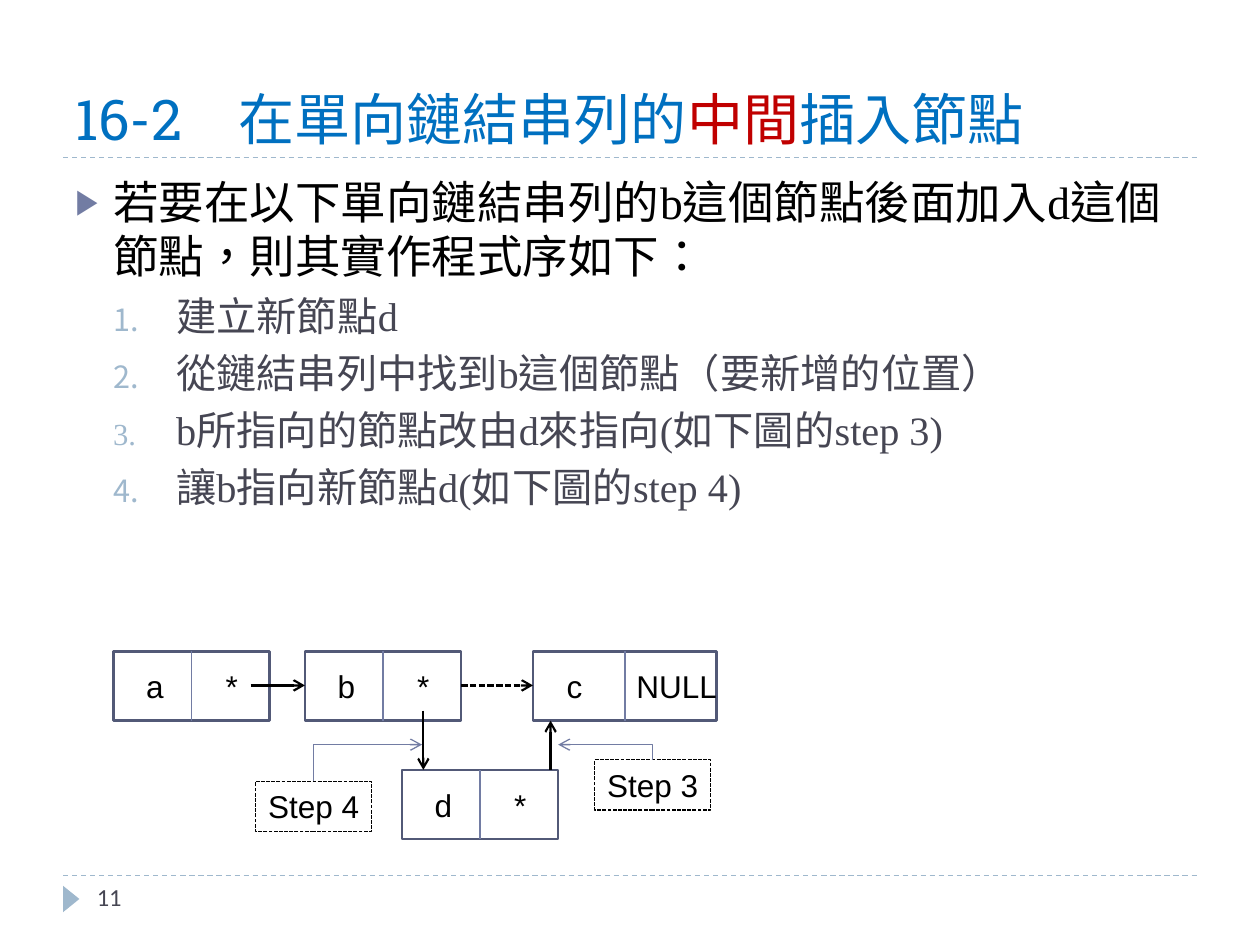
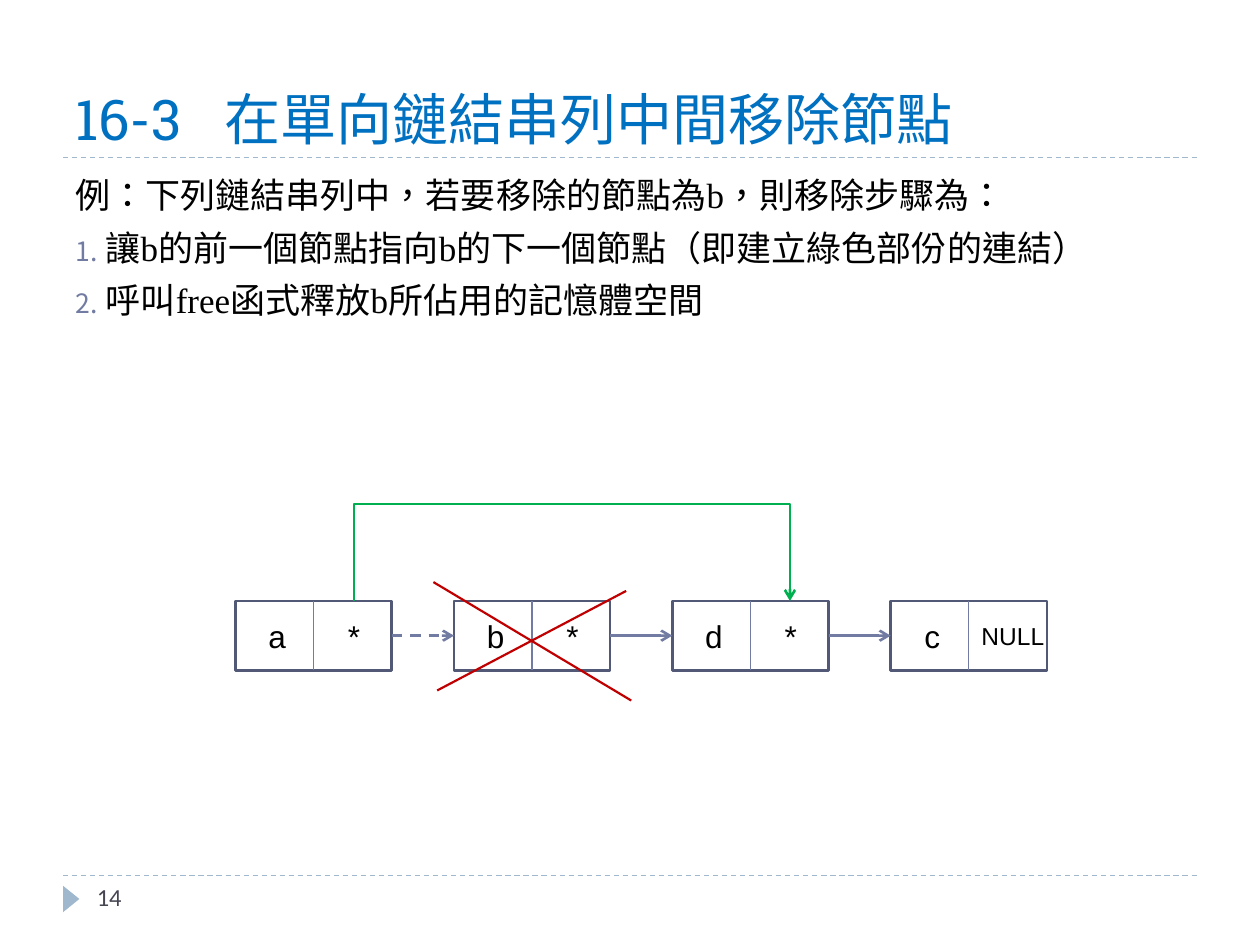
"""Builds two slides on inserting into and removing from a singly linked list."""
import dataclasses

import lxml.etree
import pptx
import pptx.dml.color
import pptx.enum.dml
import pptx.enum.shapes
import pptx.enum.text
import pptx.oxml.ns
import pptx.util

SHAPE = pptx.enum.shapes.MSO_SHAPE
ALIGN = pptx.enum.text.PP_ALIGN
ANCHOR = pptx.enum.text.MSO_ANCHOR
DASH = pptx.enum.dml.MSO_LINE.DASH
FINE_DASH = pptx.enum.dml.MSO_LINE.SQUARE_DOT
COLUMNS, ROWS = 100, 75
NODE_WIDTH, NODE_HEIGHT = 12.4, 5.5
LABEL_WIDTH = 14


@dataclasses.dataclass(frozen=True)
class Theme:
    """Colours, fonts and type sizes of the deck."""
    black: str = "000000"
    grey: str = "464653"
    blue: str = "0070C0"
    red: str = "C00000"
    green: str = "00B050"
    accent: str = "727CA3"
    frame: str = "525977"
    pale: str = "9FB8CD"
    title_font: str = "Roboto Slab"
    body_font: str = "Times New Roman"
    label_font: str = "Arial"
    number_font: str = "Calibri"
    title_size: int = 32
    lead_size: int = 26
    step_size: int = 23
    example_size: int = 20
    label_size: int = 18
    small_size: int = 14


@dataclasses.dataclass(frozen=True)
class Paragraph:
    """Paragraph style: type, spacing, indent in columns and bullet."""
    size: int
    color: str
    before: int = 6
    level: int = 0
    margin: float = 0
    hanging: float = 0
    bullet: str = ""
    bullet_color: str = ""


def add_xml(parent, tag, **attributes):
    """Append a DrawingML element."""
    return lxml.etree.SubElement(parent, pptx.oxml.ns.qn(tag), attributes)


class Deck:
    """Holds the theme and the current slide, and draws on a 100 by 75 grid."""

    def __init__(self, theme):
        self.theme = theme
        self.show = pptx.Presentation()
        self.show.slide_width = pptx.util.Inches(10)
        self.show.slide_height = pptx.util.Inches(7.5)
        self.slide = None

    def x(self, columns):
        """Convert columns to a length."""
        return round(self.show.slide_width * columns / COLUMNS)

    def y(self, rows):
        """Convert rows to a length."""
        return round(self.show.slide_height * rows / ROWS)

    def box(self, left, top, width, height):
        """Convert a grid box to lengths."""
        return self.x(left), self.y(top), self.x(width), self.y(height)

    def new_slide(self, number, title, tab=None):
        """Start a slide with its rules, page marker, number and title."""
        theme = self.theme
        self.slide = self.show.slides.add_slide(self.show.slide_layouts[6])
        for row in (69.5, 12.5):
            self.line((5, row), (95, row), theme.pale, 0.75, DASH)
        marker = self.shape(SHAPE.ISOSCELES_TRIANGLE, 4.6, 70.7, 2.1, 1.3, fill=theme.pale)
        marker.rotation = 90
        self.text(6.7, 69.5, 21.7, 4, [(number, theme.grey)],
                  theme.small_size, theme.number_font)
        heading = self.text(5, 1.7, 90, 10.8, title, theme.title_size,
                            theme.title_font, anchor=ANCHOR.BOTTOM)
        if tab:
            stops = add_xml(heading.paragraphs[0]._p.get_or_add_pPr(), "a:tabLst")
            add_xml(stops, "a:tab", pos=str(self.x(tab)), algn="l")

    def style(self, run, size, color, font):
        """Format a run."""
        run.font.size = pptx.util.Pt(size)
        run.font.name = font
        run.font.color.rgb = pptx.dml.color.RGBColor.from_string(color)
        run._r.get_or_add_rPr().set("lang", "zh-TW")

    def text(self, left, top, width, height, parts, size, font,
             anchor=ANCHOR.TOP, align=ALIGN.LEFT, wrap=True):
        """Add one line of text from (wording, colour) parts."""
        frame = self.slide.shapes.add_textbox(*self.box(left, top, width, height)).text_frame
        frame.word_wrap = wrap
        frame.vertical_anchor = anchor
        paragraph = frame.paragraphs[0]
        paragraph.alignment = align
        for wording, color in parts:
            run = paragraph.add_run()
            run.text = wording
            self.style(run, size, color, font)
        return frame

    def body(self, height, content):
        """Add the main text from (wording, paragraph style) pairs."""
        frame = self.slide.shapes.add_textbox(*self.box(5, 13.3, 90, height)).text_frame
        frame.word_wrap = True
        frame.text = "\n".join(wording for wording, _ in content)
        for paragraph, (_, look) in zip(frame.paragraphs, content):
            paragraph.level = look.level
            paragraph.space_before = pptx.util.Pt(look.before)
            self.style(paragraph.runs[0], look.size, look.color, self.theme.body_font)
            if look.bullet:
                self.bullet(paragraph._p.get_or_add_pPr(), look)

    def bullet(self, properties, look):
        """Give a paragraph its indent and its bullet or number."""
        properties.set("marL", str(self.x(look.margin)))
        properties.set("indent", str(-self.x(look.hanging)))
        add_xml(add_xml(properties, "a:buClr"), "a:srgbClr", val=look.bullet_color)
        add_xml(properties, "a:buSzPct", val="76000")
        if look.bullet == "1.":
            add_xml(properties, "a:buFont", typeface="+mj-lt")
            add_xml(properties, "a:buAutoNum", type="arabicPeriod")
        else:
            add_xml(properties, "a:buFont", typeface=self.theme.label_font)
            add_xml(properties, "a:buChar", char=look.bullet)

    def stroke(self, item, color, weight, dash=None, arrow=False):
        """Set the line of a shape or connector."""
        item.line.color.rgb = pptx.dml.color.RGBColor.from_string(color)
        item.line.width = pptx.util.Pt(weight)
        if dash:
            item.line.dash_style = dash
        if arrow:
            add_xml(item.line._get_or_add_ln(), "a:tailEnd", type="arrow")

    def shape(self, preset, left, top, width, height, fill=None, line=None):
        """Add a preset shape; line is (colour, weight, dash)."""
        shape = self.slide.shapes.add_shape(preset, *self.box(left, top, width, height))
        shape.shadow.inherit = False
        if fill:
            shape.fill.solid()
            shape.fill.fore_color.rgb = pptx.dml.color.RGBColor.from_string(fill)
        else:
            shape.fill.background()
        if line:
            self.stroke(shape, *line)
        else:
            shape.line.fill.background()
        return shape

    def line(self, start, end, color, weight, dash=None, arrow=False):
        """Add a straight connector."""
        connector = self.slide.shapes.add_connector(
            pptx.enum.shapes.MSO_CONNECTOR.STRAIGHT,
            self.x(start[0]), self.y(start[1]), self.x(end[0]), self.y(end[1]))
        self.stroke(connector, color, weight, dash, arrow)
        add_xml(connector._element.spPr, "a:effectLst")

    def bent_arrow(self, points, color, weight):
        """Add an arrow that turns at each inner point."""
        corners = [(self.x(column), self.y(row)) for column, row in points]
        builder = self.slide.shapes.build_freeform(*corners[0])
        builder.add_line_segments(corners[1:], close=False)
        route = builder.convert_to_shape()
        route.shadow.inherit = False
        route.fill.background()
        self.stroke(route, color, weight, arrow=True)

    def label(self, center, top, height, wording, size=None):
        """Add a short one-line label centred on a column."""
        self.text(center - LABEL_WIDTH / 2, top, LABEL_WIDTH, height,
                  [(wording, self.theme.black)],
                  size or self.theme.label_size, self.theme.label_font,
                  ANCHOR.MIDDLE, ALIGN.CENTER, wrap=False)

    def node(self, left, top, value, pointer="*", width=NODE_WIDTH, pointer_at=3.2, size=None):
        """Add a list node with a value half and a pointer half."""
        theme = self.theme
        middle = left + width / 2
        self.shape(SHAPE.RECTANGLE, left, top, width, NODE_HEIGHT, line=(theme.frame, 1.5))
        self.line((middle, top), (middle, top + NODE_HEIGHT), theme.accent, 0.75)
        self.label(left + 3.3, top, NODE_HEIGHT, value)
        self.label(middle + pointer_at, top, NODE_HEIGHT, pointer, size)

    def step_tag(self, left, top, wording, tip):
        """Add a dashed tag whose bent arrow leads to the tip."""
        width, height = 9.2, 4
        self.shape(SHAPE.RECTANGLE, left, top, width, height,
                   line=(self.theme.black, 0.75, FINE_DASH))
        center = left + width / 2
        self.label(center, top, height, wording)
        self.bent_arrow([(center, top), (center, tip[1]), tip], self.theme.accent, 0.75)


def insertion_slide(deck):
    """Inserting node d after node b."""
    theme = deck.theme
    deck.new_slide("11", [("16-2　在單向鏈結串列的", theme.blue),
                          ("中間", theme.red), ("插入節點", theme.blue)])
    lead = Paragraph(theme.lead_size, theme.black, margin=3, hanging=3,
                     bullet="▶", bullet_color=theme.accent)
    step = Paragraph(theme.step_size, theme.grey, before=5, level=1, margin=8,
                     hanging=5, bullet="1.", bullet_color=theme.pale)
    steps = ["建立新節點d", "從鏈結串列中找到b這個節點（要新增的位置）",
             "b所指向的節點改由d來指向(如下圖的step 3)", "讓b指向新節點d(如下圖的step 4)"]
    deck.body(30.5, [("若要在以下單向鏈結串列的b這個節點後面加入d這個節點，則其實作程式序如下：", lead)]
              + [(wording, step) for wording in steps])

    list_top, new_top = 51.7, 61.1
    list_bottom = list_top + NODE_HEIGHT
    deck.node(9, list_top, "a")
    deck.node(24.2, list_top, "b")
    deck.node(42.3, list_top, "c", "NULL", width=14.6, pointer_at=4.1)
    deck.node(31.9, new_top, "d")
    for start, end, dash in [((19.9, 54.4), (24.2, 54.4), None),
                             ((36.6, 54.4), (42.3, 54.4), FINE_DASH),
                             ((33.6, 56.4), (33.6, new_top), None),
                             ((43.7, new_top), (43.7, list_bottom), None)]:
        deck.line(start, end, theme.black, 1.25, dash, arrow=True)
    deck.step_tag(47.2, 60.3, "Step 3", (44.3, 59.1))
    deck.step_tag(20.3, 62, "Step 4", (33.5, 59.1))


def removal_slide(deck):
    """Removing node b from the middle."""
    theme = deck.theme
    deck.new_slide("14", [("16-3\t在單向鏈結串列中間移除節點", theme.blue)], tab=11.8)
    example = Paragraph(theme.example_size, theme.black)
    step = dataclasses.replace(example, margin=2.4, hanging=2.4,
                               bullet="1.", bullet_color=theme.accent)
    deck.body(28.9, [("例：下列鏈結串列中，若要移除的節點為b，則移除步驟為：", example),
                     ("讓b的前一個節點指向b的下一個節點（即建立綠色部份的連結）", step),
                     ("呼叫free函式釋放b所佔用的記憶體空間", step)])

    top, pitch = 47.7, 17.33
    lefts = [18.7 + pitch * place for place in range(4)]
    for left, value in zip(lefts, "abd"):
        deck.node(left, top, value)
    deck.node(lefts[3], top, "c", "NULL", pointer_at=3.5, size=theme.small_size)
    center = top + NODE_HEIGHT / 2
    for left, following, dash in zip(lefts, lefts[1:], (DASH, None, None)):
        deck.line((left + NODE_WIDTH, center), (following, center),
                  theme.accent, 1.5, dash, arrow=True)
    deck.line((49.7, 46.9), (34.7, 54.8), theme.red, 1.25)
    deck.line((34.4, 46.2), (50.1, 55.6), theme.red, 1.25)
    deck.bent_arrow([(28.1, top), (28.1, 40), (62.7, 40), (62.7, top)], theme.green, 1.5)


def main():
    """Build and save the deck."""
    deck = Deck(Theme())
    insertion_slide(deck)
    removal_slide(deck)
    deck.show.save("out.pptx")


if __name__ == "__main__":
    main()
